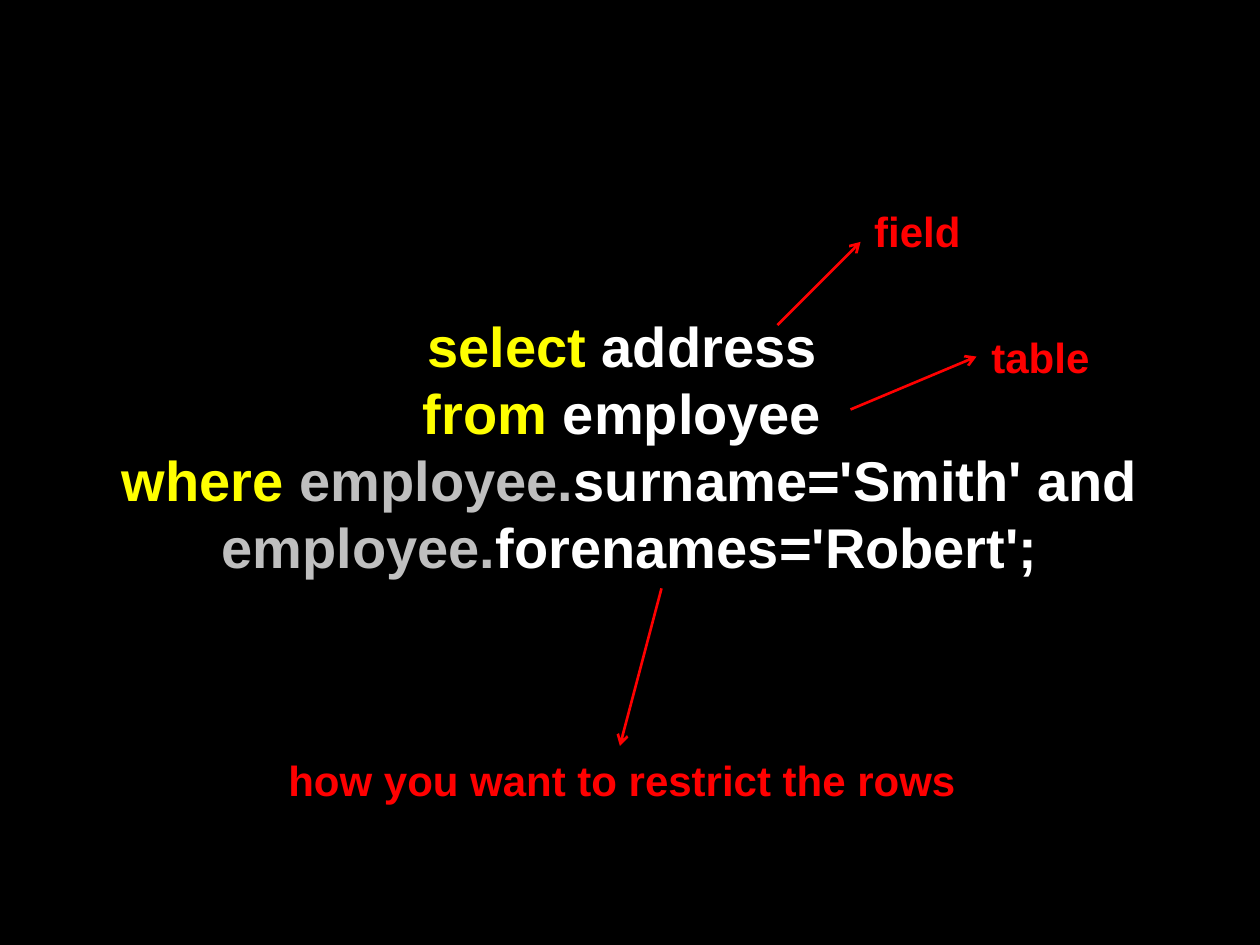
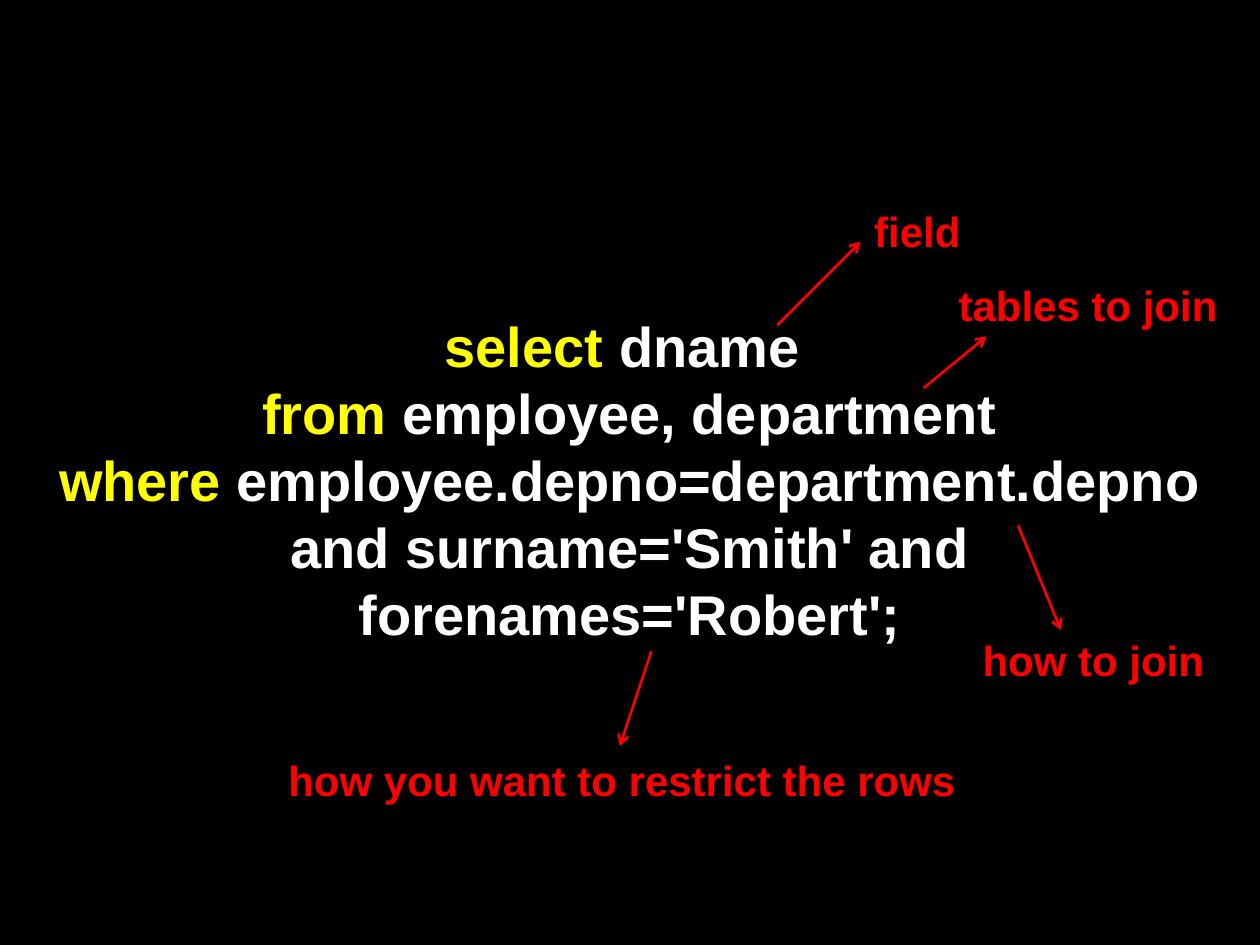
from dataclasses import dataclass

from lxml.etree import SubElement
from pptx import Presentation
from pptx.dml.color import RGBColor
from pptx.enum.shapes import MSO_CONNECTOR
from pptx.enum.text import MSO_AUTO_SIZE, PP_ALIGN
from pptx.oxml.ns import qn
from pptx.util import Inches, Pt


@dataclass(frozen=True)
class Theme:
    font: str = "Arial"
    background: str = "000000"
    keyword: str = "FFFF00"
    code: str = "FFFFFF"
    optional: str = "BFBFBF"
    note: str = "FF0000"
    query_size: int = 32
    note_size: int = 24
    arrow_width: float = 1.5


theme = Theme()


def add_text(slide, position, paragraphs, size, alignment, wrap):
    """Place bold text; each paragraph is a list of (text, colour) runs."""
    text_box = slide.shapes.add_textbox(*[Inches(value) for value in position])
    frame = text_box.text_frame
    frame.word_wrap = wrap
    frame.auto_size = MSO_AUTO_SIZE.SHAPE_TO_FIT_TEXT
    for index, runs in enumerate(paragraphs):
        paragraph = frame.add_paragraph() if index else frame.paragraphs[0]
        paragraph.alignment = alignment
        paragraph.font.size = Pt(size)
        for text, colour in runs:
            if text == "\n":
                paragraph.add_line_break()
                continue
            run = paragraph.add_run()
            run.text = text
            run.font.name = theme.font
            run.font.size = Pt(size)
            run.font.bold = True
            run.font.color.rgb = RGBColor.from_string(colour)


def add_arrow(slide, start, end):
    """Draw an open-headed arrow from start to end."""
    ends = [Inches(value) for value in (*start, *end)]
    arrow = slide.shapes.add_connector(MSO_CONNECTOR.STRAIGHT, *ends)
    arrow.line.color.rgb = RGBColor.from_string(theme.note)
    arrow.line.width = Pt(theme.arrow_width)
    SubElement(arrow.line._get_or_add_ln(), qn("a:tailEnd"), type="arrow")
    SubElement(arrow._element.spPr, qn("a:effectLst"))


# Annotations found on both slides: text, left, top, width (with room to stay on one line)
field_note = ("field", 6.84, 1.58, 0.93)
restrict_note = ("how you want to restrict the rows", 2.19, 5.94, 5.54)
field_arrow = ((6.17, 2.58), (6.83, 1.92))
restrict_tip = (4.92, 5.92)

# Each slide: query height, query paragraphs, notes, arrows
single_table = (
    2.24,
    [
        [("select", theme.keyword), (" address ", theme.code)],
        [("from", theme.keyword), (" employee ", theme.code)],
        [
            ("where ", theme.keyword),
            ("employee.", theme.optional),
            ("surname='Smith' and ", theme.code),
            ("employee.", theme.optional),
            ("forenames='Robert';", theme.code),
        ],
    ],
    [field_note, ("table", 7.77, 2.58, 1.03), restrict_note],
    [field_arrow, ((6.75, 3.25), (7.75, 2.83)), ((5.25, 4.67), restrict_tip)],
)
joined_tables = (
    2.77,
    [
        [("select", theme.keyword), (" dname ", theme.code)],
        [
            ("from", theme.keyword),
            (" employee, department", theme.code),
            ("\n", theme.code),
            ("where", theme.keyword),
            (" employee.depno=department.depno and surname='Smith' and "
             "forenames='Robert';", theme.code),
        ],
    ],
    [field_note, ("tables to join", 7.51, 2.17, 2.3), restrict_note,
     ("how to join", 7.7, 4.99, 2.01)],
    [field_arrow, ((7.33, 3.08), (7.83, 2.67)), ((5.17, 5.17), restrict_tip),
     ((8.08, 4.17), (8.42, 5))],
)

presentation = Presentation()
presentation.slide_width = Inches(10)
presentation.slide_height = Inches(7.5)
blank_layout = presentation.slide_layouts[6]

for query_height, query, notes, arrows in (single_table, joined_tables):
    slide = presentation.slides.add_slide(blank_layout)
    slide.background.fill.solid()
    slide.background.fill.fore_color.rgb = RGBColor.from_string(theme.background)

    # Query in the middle
    add_text(slide, (0.33, 2.42, 9.34, query_height), query,
             theme.query_size, PP_ALIGN.CENTER, True)

    # Notes and the arrows that lead to them
    for text, left, top, width in notes:
        add_text(slide, (left, top, width, 0.5), [[(text, theme.note)]],
                 theme.note_size, PP_ALIGN.LEFT, False)
    for start, end in arrows:
        add_arrow(slide, start, end)

presentation.save("out.pptx")
